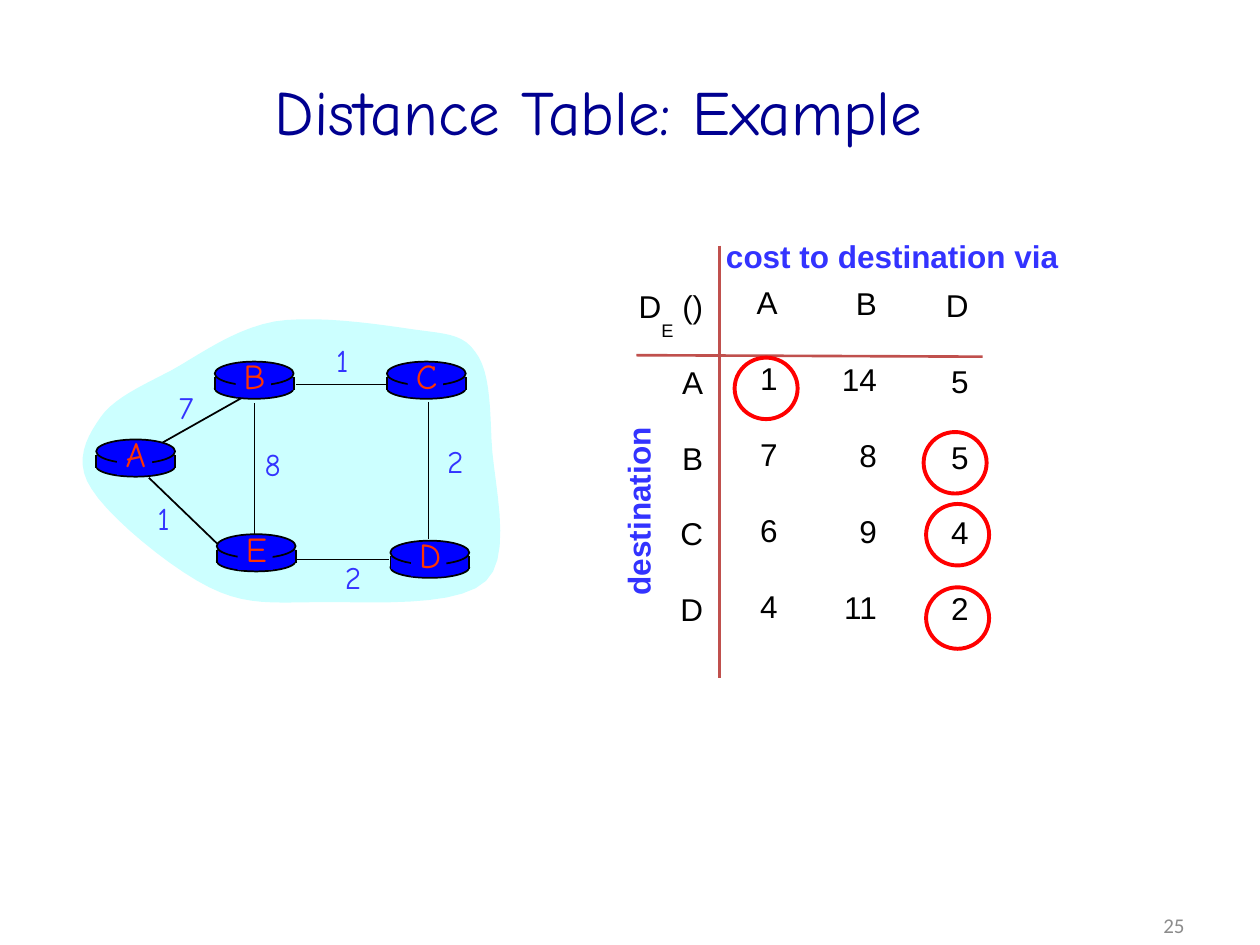
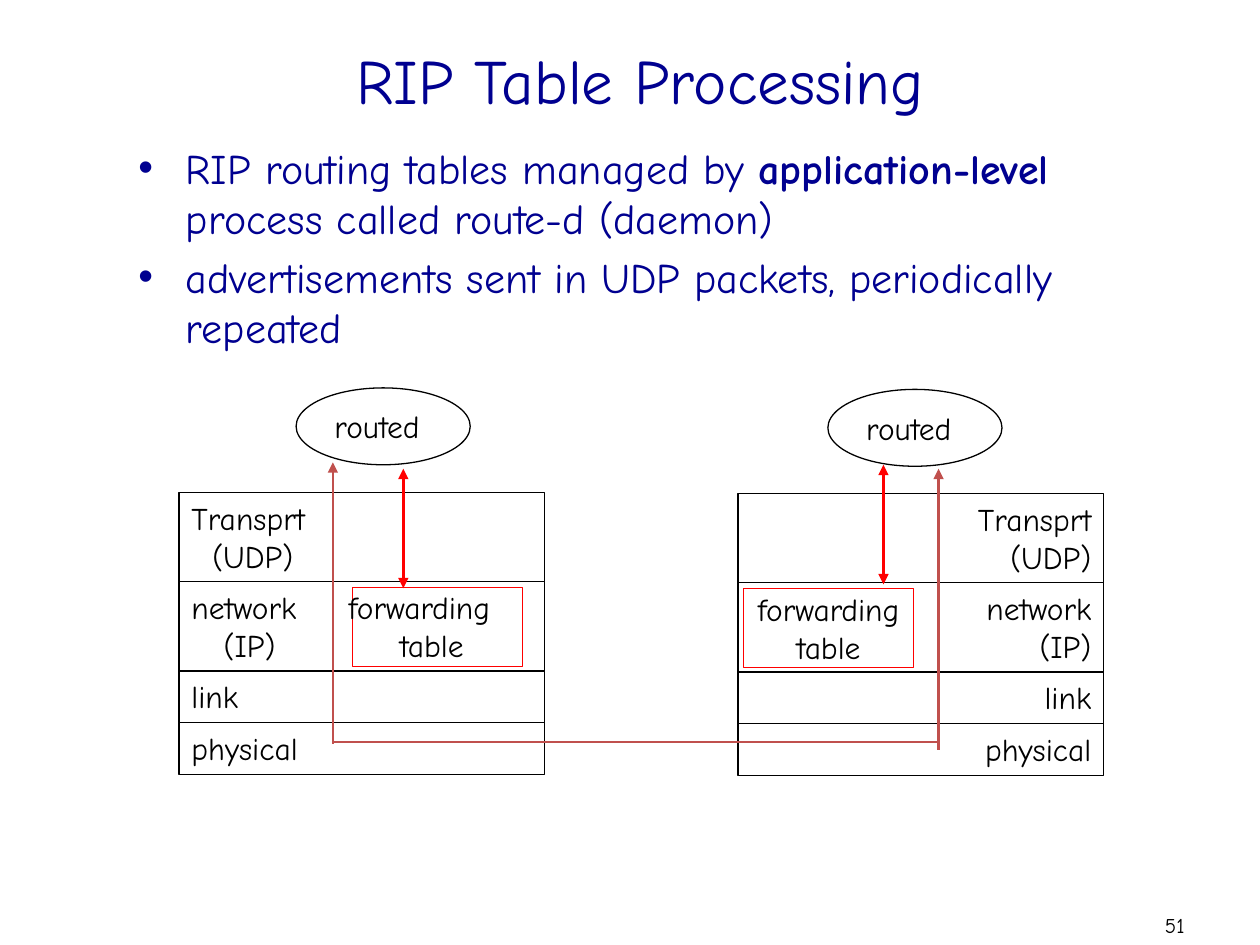
import pptx
import pptx.dml.color
import pptx.enum.shapes
import pptx.enum.text
import pptx.oxml
import pptx.oxml.ns
import pptx.util

Cm = pptx.util.Cm
Pt = pptx.util.Pt
SHAPE = pptx.enum.shapes.MSO_SHAPE
ALIGN = pptx.enum.text.PP_ALIGN
ANCHOR = pptx.enum.text.MSO_ANCHOR

COLOURS = {
    "navy": "000090", "black": "000000", "grey": "8C8C8C", "cloud": "CCFFFF",
    "router": "0000FF", "letter": "FF3300", "label": "3333FF",
    "rule": "C0504D", "red": "FF0000",
}
HAND, SANS, SMALL = "Comic Neue", "Arial", "Calibri"

# Distance table: width, top inset and cells of each column
COLUMNS = [
    (1.6, 0.2, ["D", "A", "B", "C", "D"]),
    (1.5, 0.13, ["A", "1", "7", "6", "4"]),
    (2.0, 0.15, ["B", "14", "8", "9", "11"]),
    (1.85, 0.18, ["D", "5", "5", "4", "2"]),
]
ROW_HEIGHT = 1.53
BEST_COSTS = [(14.81, 7.21), (18.62, 8.71), (18.67, 10.16), (18.67, 11.84)]

# Network: routers by top left corner; links with cost and the label's top centre
ROUTERS = {"A": (1.94, 8.86), "B": (4.33, 7.29), "C": (7.8, 7.29),
           "D": (7.87, 10.9), "E": (4.37, 10.77)}
LINKS = [
    ((3.28, 8.92), (5.0, 7.95), "7", (3.75, 7.7)),
    ((5.13, 8.13), (5.13, 10.87), "8", (5.5, 8.84)),
    ((3.0, 9.63), (4.39, 10.97), "1", (3.3, 9.93)),
    ((5.99, 11.28), (7.85, 11.28), "2", (7.12, 11.13)),
    ((5.97, 7.75), (7.82, 7.75), "1", (6.9, 6.76)),
    ((8.64, 8.1), (8.64, 10.87), "2", (9.18, 8.79)),
]
# Cloud outline: two control points and an end point for each curve
CLOUD_START = (2.03, 8.41)
CLOUD_CURVES = [
    ((2.29, 8.03), (2.87, 7.77), (3.45, 7.47)),
    ((4.04, 7.14), (4.72, 6.63), (5.54, 6.48)),
    ((6.35, 6.35), (7.59, 6.53), (8.26, 6.63)),
    ((8.94, 6.73), (9.32, 6.71), (9.58, 7.09)),
    ((9.86, 7.44), (9.88, 8.1), (9.91, 8.86)),
    ((9.93, 9.63), (10.36, 11.18), (9.8, 11.71)),
    ((9.22, 12.27), (7.39, 12.12), (6.45, 12.14)),
    ((5.54, 12.14), (4.98, 12.22), (4.22, 11.84)),
    ((3.45, 11.46), (2.21, 10.44), (1.85, 9.86)),
    ((1.47, 9.3), (1.75, 8.81), CLOUD_START),
]

# Protocol stack: height and lines of each layer, with the left-hand indent
LAYERS = [
    (1.8, [("Transprt", 0), ("(UDP)", 0.42)]),
    (1.8, [("network", 0), ("(IP)", 0.65)]),
    (1.04, [("link", 0)]),
    (1.04, [("physical", 0)]),
]


def colour(name):
    return pptx.dml.color.RGBColor.from_string(COLOURS[name])


def lengths(*values):
    return [Cm(value) for value in values]


# Text
def add_span(para, text, size, font, tint, bold=False):
    span = para.add_run()
    span.text = text
    span.font.size = Pt(size)
    span.font.name = font
    span.font.bold = bold
    span.font.color.rgb = colour(tint)
    return span


def write_lines(frame, lines, size=18, font=HAND, tint="black", align=ALIGN.LEFT,
                anchor=ANCHOR.TOP, wrap=False, bold=False):
    """Write (text, indent) pairs, one paragraph each."""
    frame.word_wrap = wrap
    frame.vertical_anchor = anchor
    for index, (text, indent) in enumerate(lines):
        para = frame.add_paragraph() if index else frame.paragraphs[0]
        para.alignment = align
        if indent:
            para._p.get_or_add_pPr().set("marL", str(Cm(indent)))
        add_span(para, text, size, font, tint, bold)


def add_text(page, text, left, top, width, height, **style):
    box = page.shapes.add_textbox(*lengths(left, top, width, height))
    lines = [(text, 0)] if isinstance(text, str) else text
    write_lines(box.text_frame, lines, **style)
    return box


def add_bullets(page, bullets, left, top, width, height):
    frame = page.shapes.add_textbox(*lengths(left, top, width, height)).text_frame
    frame.word_wrap = True
    for index, spans in enumerate(bullets):
        para = frame.add_paragraph() if index else frame.paragraphs[0]
        para.space_before = Pt(4.8)
        properties = para._p.get_or_add_pPr()
        properties.set("marL", str(Cm(0.96)))
        properties.set("indent", str(Cm(-0.96)))
        properties.append(pptx.oxml.parse_xml(
            f'<a:buFont {pptx.oxml.ns.nsdecls("a")} typeface="Arial"/>'))
        properties.append(pptx.oxml.parse_xml(
            f'<a:buChar {pptx.oxml.ns.nsdecls("a")} char="•"/>'))
        for text, bold in spans:
            add_span(para, text, 24, HAND, "navy", bold)


# Shapes and lines
def paint(shape, fill, line, weight):
    shape.shadow.inherit = False
    if fill:
        shape.fill.solid()
        shape.fill.fore_color.rgb = colour(fill)
    else:
        shape.fill.background()
    if line:
        shape.line.color.rgb = colour(line)
        shape.line.width = Pt(weight)
    else:
        shape.line.fill.background()


def add_figure(page, kind, left, top, width, height, fill=None, line=None, weight=0.75):
    shape = page.shapes.add_shape(kind, *lengths(left, top, width, height))
    paint(shape, fill, line, weight)
    return shape


def add_line(page, start, end, tint="black", weight=1.0, arrows=()):
    line = page.shapes.add_connector(
        pptx.enum.shapes.MSO_CONNECTOR.STRAIGHT, *lengths(*start, *end))
    line.line.color.rgb = colour(tint)
    line.line.width = Pt(weight)
    namespace = pptx.oxml.ns.nsdecls("a")
    for end_name in arrows:
        line.get_or_add_ln().append(
            pptx.oxml.parse_xml(f'<a:{end_name} {namespace} type="triangle"/>'))
    line._element.spPr.append(pptx.oxml.parse_xml(f"<a:effectLst {namespace}/>"))


def add_page(deck, title, left, top, number, number_font, number_tint):
    page = deck.slides.add_slide(deck.slide_layouts[6])
    add_text(page, number, 18.21, 18.14, 5.92, 1.02, size=12, font=number_font,
             tint=number_tint, align=ALIGN.RIGHT, anchor=ANCHOR.MIDDLE, wrap=True)
    add_text(page, title, left, top, 21.59, 3.18, size=36, tint="navy",
             align=ALIGN.CENTER, anchor=ANCHOR.MIDDLE, wrap=True)
    return page


# Network
def curve_points(start, first, second, end, steps=10):
    for step in range(1, steps + 1):
        t = step / steps
        u = 1 - t
        yield tuple(Cm(u**3 * a + 3 * u * u * t * b + 3 * u * t * t * c + t**3 * d)
                    for a, b, c, d in zip(start, first, second, end))


def add_cloud(page):
    points, start = [], CLOUD_START
    for first, second, end in CLOUD_CURVES:
        points.extend(curve_points(start, first, second, end))
        start = end
    builder = page.shapes.build_freeform(*lengths(*CLOUD_START))
    builder.add_line_segments(points, close=True)
    paint(builder.convert_to_shape(), "cloud", None, 0)


def add_router(page, name, left, top):
    width, rim = 1.59, top + 0.31
    add_figure(page, SHAPE.OVAL, left, top + 0.33, width, 0.42, "router", "black", 1)
    add_figure(page, SHAPE.RECTANGLE, left, rim, width, 0.26, "router")
    for side in (left, left + width):
        add_line(page, (side, rim), (side, rim + 0.26))
    add_figure(page, SHAPE.OVAL, left, top, width, 0.48, "router", "black", 1)
    add_figure(page, SHAPE.RECTANGLE, left + 0.42, top + 0.05, 0.71, 0.67, "router")
    add_text(page, name, left + 0.29, top - 0.26, 1.02, 1.09, size=20,
             tint="letter", align=ALIGN.CENTER)


def add_network(page):
    add_cloud(page)
    for start, end, _, _ in LINKS:
        add_line(page, start, end)
    for name, corner in ROUTERS.items():
        add_router(page, name, *corner)
    for _, _, cost, (centre, top) in LINKS:
        add_text(page, cost, centre - 0.45, top, 0.9, 1.02, tint="label",
                 align=ALIGN.CENTER)


# Distance table
def add_distance_table(page):
    rows = len(COLUMNS[0][2])
    total = sum(width for width, _, _ in COLUMNS)
    table = page.shapes.add_table(
        rows, len(COLUMNS), *lengths(12.83, 5.64, total, rows * ROW_HEIGHT)).table
    table.first_row = table.horz_banding = False
    for row in table.rows:
        row.height = Cm(ROW_HEIGHT)
    for column, (width, inset, values) in enumerate(COLUMNS):
        table.columns[column].width = Cm(width)
        for row, value in enumerate(values):
            cell = table.cell(row, column)
            cell.fill.background()
            cell.margin_left = cell.margin_bottom = 0
            cell.margin_top = Cm(inset)
            para = cell.text_frame.paragraphs[0]
            para.alignment = ALIGN.RIGHT
            add_span(para, value, 18, SANS, "black")
    corner = table.cell(0, 0).text_frame.paragraphs[0]
    subscript = add_span(corner, "E", 18, SANS, "black")
    subscript._r.get_or_add_rPr().set("baseline", "-60000")
    add_span(corner, " ()", 18, SANS, "black")

    # Rules, best costs and headings
    add_line(page, (12.83, 7.16), (19.81, 7.19), "rule", 1.5)
    add_line(page, (14.5, 4.95), (14.5, 13.67), "rule", 1.5)
    for left, top in BEST_COSTS:
        add_figure(page, SHAPE.OVAL, left, top, 1.27, 1.24, line="red", weight=2.25)
    heading = {"font": SANS, "tint": "label", "bold": True, "align": ALIGN.RIGHT}
    add_text(page, "cost to destination via", 14.38, 4.65, 7.21, 1.02, **heading)
    side = add_text(page, "destination", 10.92, 9.8, 3.89, 1.02, **heading)
    side.rotation = 270


# Protocol stack
def add_stack(page, left, top, align):
    for height, lines in LAYERS:
        layer = add_figure(page, SHAPE.RECTANGLE, left, top, 7.37, height, line="black")
        if align == ALIGN.RIGHT:
            lines = [(text, 0) for text, _ in lines]
        write_lines(layer.text_frame, lines, align=align, wrap=True)
        top += height


def add_daemon(page, left, top):
    daemon = add_figure(page, SHAPE.OVAL, left, top, 3.51, 1.55, line="black")
    daemon.text_frame.margin_right = Cm(0.5)
    write_lines(daemon.text_frame, [("routed", 0)], align=ALIGN.CENTER,
                anchor=ANCHOR.MIDDLE)


def add_forwarding_box(page, left, top):
    return add_figure(page, SHAPE.RECTANGLE, left, top, 3.43, 1.6, line="red")


def main():
    deck = pptx.Presentation()
    deck.slide_width, deck.slide_height = lengths(25.4, 19.05)

    # Distance table slide
    page = add_page(deck, "Distance Table: Example", 1.27, 0.64, "25", SMALL, "grey")
    add_network(page)
    add_distance_table(page)

    # RIP slide
    page = add_page(deck, "RIP Table Processing", 2.11, 0, "51", HAND, "black")
    add_bullets(page, [
        [("RIP routing tables managed by ", False), ("application-level", True),
         (" process called route-d (daemon)", False)],
        [("advertisements sent in UDP packets, periodically repeated", False)],
    ], 2.54, 2.74, 21.59, 12.27)
    add_stack(page, 3.61, 9.93, ALIGN.LEFT)
    add_stack(page, 14.88, 9.95, ALIGN.RIGHT)
    add_daemon(page, 5.97, 7.82)
    add_daemon(page, 16.69, 7.85)
    add_forwarding_box(page, 7.11, 11.84)
    add_text(page, [("forwarding", 0), ("table", 1.03)], 6.78, 11.73, 3.6, 1.8)
    table_box = add_forwarding_box(page, 14.99, 11.86)
    write_lines(table_box.text_frame, [("forwarding", 0), ("table", 0)],
                align=ALIGN.CENTER, anchor=ANCHOR.MIDDLE)

    # Packet route and table access
    add_line(page, (6.71, 14.99), (6.71, 9.32), "rule", 1.5, ["tailEnd"])
    add_line(page, (18.92, 15.11), (18.92, 9.45), "rule", 1.5, ["tailEnd"])
    add_line(page, (6.71, 14.96), (18.95, 14.96), "rule", 1.5)
    for x, top in ((8.13, 9.45), (17.81, 9.37)):
        add_line(page, (x, top), (x, top + 2.41), "red", 1.5, ["headEnd", "tailEnd"])

    deck.save("out.pptx")


if __name__ == "__main__":
    main()
